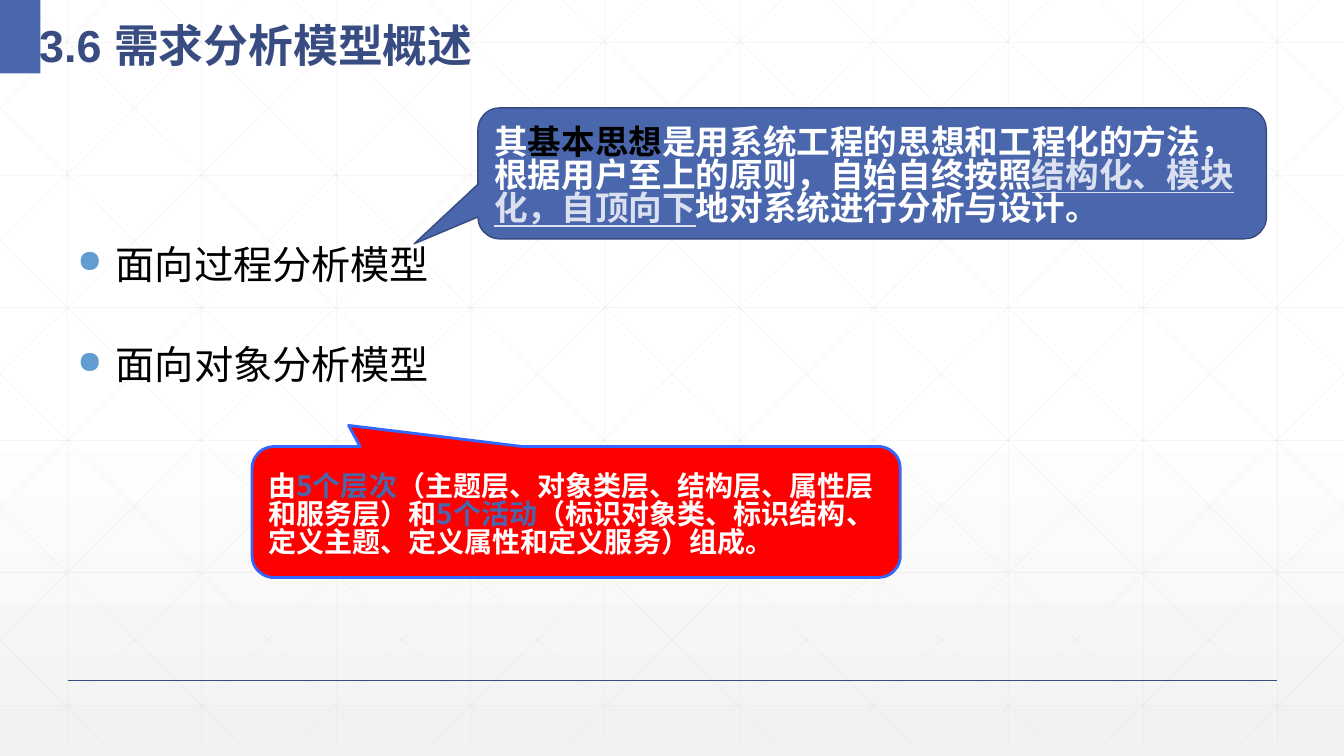
"""Build the slide that outlines the requirements analysis models."""
import lxml.etree
import pptx
import pptx.dml.color
import pptx.enum.shapes
import pptx.enum.text
import pptx.oxml
import pptx.oxml.ns
import pptx.util

Inches = pptx.util.Inches
Pt = pptx.util.Pt
RGBColor = pptx.dml.color.RGBColor
qn = pptx.oxml.ns.qn
MIDDLE = pptx.enum.text.MSO_ANCHOR.MIDDLE
LEFT = pptx.enum.text.PP_ALIGN.LEFT

WHITE = RGBColor(0xFF, 0xFF, 0xFF)
BLACK = RGBColor(0x00, 0x00, 0x00)
PALE_GREY = RGBColor(0xF2, 0xF2, 0xF2)
GRID_GREY = RGBColor(0xD9, 0xD9, 0xD9)
NAVY = RGBColor(0x38, 0x4C, 0x81)
BLUE = RGBColor(0x4A, 0x66, 0xAC)
BLUE_EDGE = RGBColor(0x37, 0x4B, 0x7F)
PALE_BLUE = RGBColor(0xDA, 0xE0, 0xEF)
BRIGHT_BLUE = RGBColor(0x33, 0x66, 0xFF)
RED = RGBColor(0xFF, 0x00, 0x00)

WIDTH, HEIGHT = 13.33, 7.5
CJK_FONT = "Noto Sans CJK SC"


def add_line(slide, start, end, color, weight):
    """Draw a straight line without a shadow and return it."""
    connector = slide.shapes.add_connector(
        pptx.enum.shapes.MSO_CONNECTOR.STRAIGHT,
        *[Inches(round(value, 2)) for value in (*start, *end)])
    connector.line.color.rgb = color
    connector.line.width = Pt(weight)
    lxml.etree.SubElement(connector._element.spPr, qn("a:effectLst"))
    return connector


def add_run(paragraph, text, color, font_name, **formats):
    """Add a run of text with its font, colour and further font settings."""
    run = paragraph.add_run()
    run.text = text
    run.font.name = font_name
    run.font.color.rgb = color
    for name, value in formats.items():
        setattr(run.font, name, value)
    east_asian = lxml.etree.SubElement(run._r.get_or_add_rPr(), qn("a:ea"))
    east_asian.set("typeface", CJK_FONT)


presentation = pptx.Presentation()
presentation.slide_width = Inches(WIDTH)
presentation.slide_height = Inches(HEIGHT)
slide = presentation.slides.add_slide(presentation.slide_layouts[6])

background = slide.background.fill
background.gradient()
background.gradient_angle = 270
for stop, position, color in zip(background.gradient_stops, (0.53, 1), (WHITE, PALE_GREY)):
    stop.position = position
    stop.color.rgb = color

GRID_BOTTOM = 7.37
COLUMN_STEP = 4 / 3
DIAGONAL_RUN = 7.45
slope = GRID_BOTTOM / DIAGONAL_RUN
grid_lines = []
for column in range(10):
    x = 0.67 + COLUMN_STEP * column
    grid_lines.append(((x, 0), (x, GRID_BOTTOM)))
for row in range(6):
    y = 0.42 + 1.316 * row
    grid_lines.append(((0, y), (WIDTH, y)))
for column in range(-5, 10):
    top_x = 0.25 + COLUMN_STEP * column
    left = max(top_x, 0)
    right = min(top_x + DIAGONAL_RUN, WIDTH)
    start_y, end_y = (left - top_x) * slope, (right - top_x) * slope
    grid_lines.append(((left, start_y), (right, end_y)))
    grid_lines.append(((WIDTH - left, start_y), (WIDTH - right, end_y)))
for start, end in grid_lines:
    connector = add_line(slide, start, end, GRID_GREY, 0.5)
    color_element = connector._element.spPr.find(".//" + qn("a:srgbClr"))
    lxml.etree.SubElement(color_element, qn("a:alpha")).set("val", "25000")

add_line(slide, (0.67, 6.75), (12.67, 6.75), NAVY, 1)

corner = slide.shapes.add_shape(
    pptx.enum.shapes.MSO_SHAPE.RECTANGLE, 0, 0, Inches(0.4), Inches(0.73))
corner.shadow.inherit = False
corner.fill.solid()
corner.fill.fore_color.rgb = BLUE
corner.line.fill.background()

title = slide.shapes.add_textbox(Inches(0.29), 0, Inches(6.02), Inches(0.73))
title.text_frame.word_wrap = True
title.text_frame.vertical_anchor = MIDDLE
paragraph = title.text_frame.paragraphs[0]
paragraph.line_spacing = 1.3
add_run(paragraph, "3.6 需求分析模型概述", NAVY, "Arial", size=Pt(32), bold=True)

models = slide.shapes.add_textbox(Inches(0.67), Inches(2.38), Inches(12.22), Inches(3.6))
models.text_frame.word_wrap = True
models.text_frame.margin_top = 0
for index, model in enumerate(("面向过程分析模型", "面向对象分析模型")):
    if index == 0:
        paragraph = models.text_frame.paragraphs[0]
    else:
        paragraph = models.text_frame.add_paragraph()
    properties = paragraph._p.get_or_add_pPr()
    properties.set("marL", str(Inches(0.38)))
    properties.set("indent", str(-Inches(0.38)))
    bullet_color = lxml.etree.SubElement(properties, qn("a:buClr"))
    lxml.etree.SubElement(bullet_color, qn("a:srgbClr")).set("val", "629DD1")
    lxml.etree.SubElement(properties, qn("a:buSzPct")).set("val", "80000")
    lxml.etree.SubElement(properties, qn("a:buChar")).set("char", "●")
    if index > 0:
        paragraph.space_before = Pt(38)
    add_run(paragraph, model, BLACK, CJK_FONT, size=Pt(28))

callouts = [
    {"box": (4.74, 1.07, 7.82, 1.3), "adjustments": (-0.581, 0.538, 0.167),
     "fill": BLUE, "edge": BLUE_EDGE, "weight": 1, "font": "Times New Roman", "size": 24,
     "runs": [("其", WHITE), ("基本思想", BLACK),
              ("是用系统工程的思想和工程化的方法，根据用户至上的原则，自始自终按照", WHITE),
              ("结构化、模块化，自顶向下", PALE_BLUE),
              ("地对系统进行分析与设计。", WHITE)]},
    {"box": (2.5, 4.43, 6.43, 1.3), "adjustments": (-0.351, -0.661, 0.167),
     "fill": RED, "edge": BRIGHT_BLUE, "weight": 2, "font": CJK_FONT, "size": 20,
     "runs": [("由", WHITE), ("5个层次", BLUE),
              ("（主题层、对象类层、结构层、属性层和服务层）和", WHITE), ("5个活动", BLUE),
              ("（标识对象类、标识结构、定义主题、定义属性和定义服务）组成。", WHITE)]},
]
for callout in callouts:
    shape = slide.shapes.add_shape(
        pptx.enum.shapes.MSO_SHAPE.ROUNDED_RECTANGULAR_CALLOUT,
        *[Inches(value) for value in callout["box"]])
    shape.shadow.inherit = False
    for index, value in enumerate(callout["adjustments"]):
        shape.adjustments[index] = value
    shape.fill.solid()
    shape.fill.fore_color.rgb = callout["fill"]
    shape.line.color.rgb = callout["edge"]
    shape.line.width = Pt(callout["weight"])
    text_frame = shape.text_frame
    text_frame.word_wrap = True
    text_frame.vertical_anchor = MIDDLE
    text_frame.margin_top = Inches(0.13)
    paragraph = text_frame.paragraphs[0]
    paragraph.alignment = LEFT
    paragraph.line_spacing = 0.83
    for text, color in callout["runs"]:
        add_run(paragraph, text, color, callout["font"], size=Pt(callout["size"]),
                bold=True, underline=color == PALE_BLUE)

presentation.save("out.pptx")
